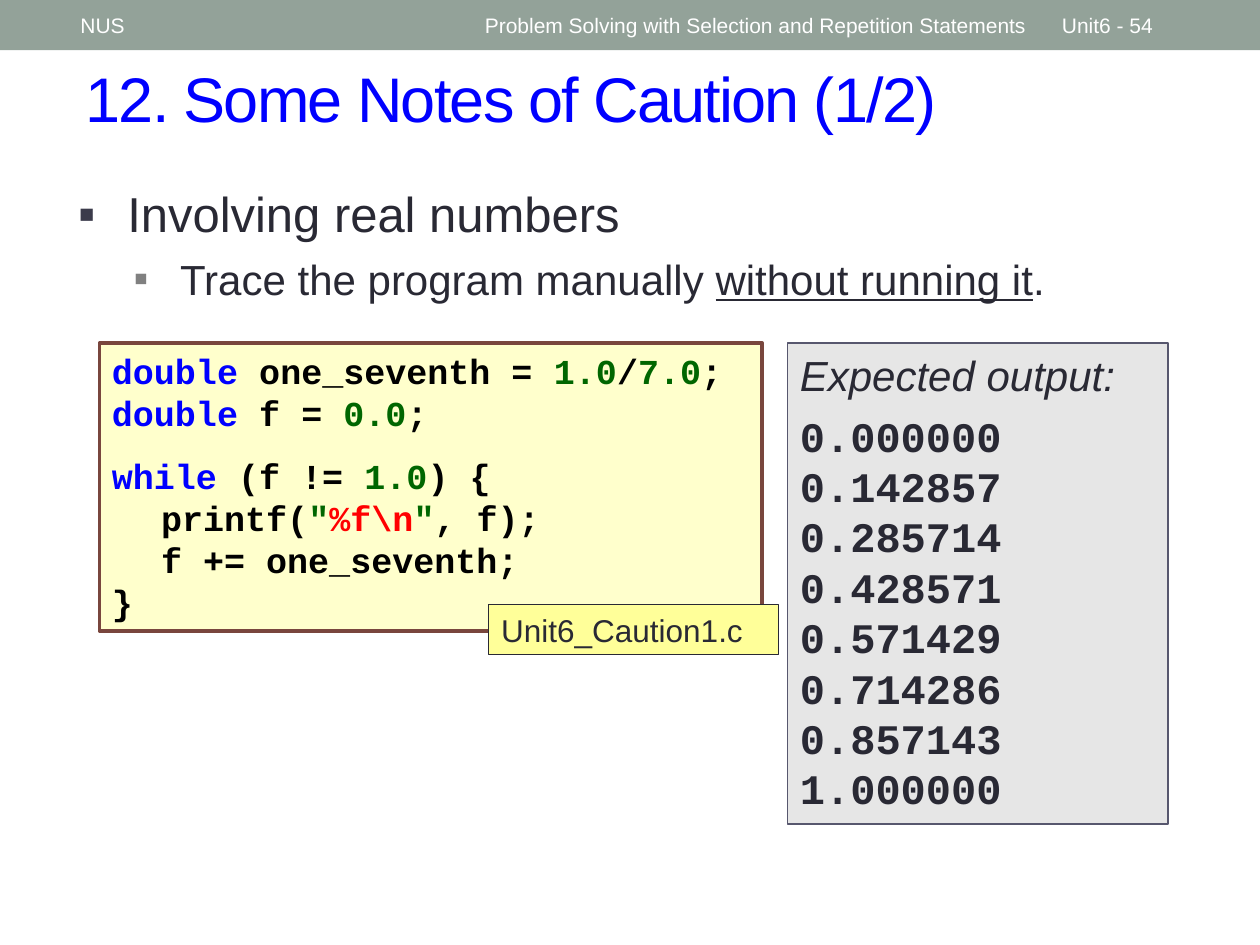
"""Build the slide on caution with real numbers in loops."""
from typing import NamedTuple, Optional

from lxml import etree
from pptx import Presentation
from pptx.dml.color import RGBColor
from pptx.enum.shapes import MSO_SHAPE
from pptx.enum.text import MSO_ANCHOR, MSO_AUTO_SIZE, PP_ALIGN
from pptx.oxml.ns import qn
from pptx.util import Inches, Pt

RECTANGLE = MSO_SHAPE.RECTANGLE
TOP, MIDDLE = MSO_ANCHOR.TOP, MSO_ANCHOR.MIDDLE
LEFT = PP_ALIGN.LEFT
FIXED_SIZE = MSO_AUTO_SIZE.NONE

WIDTH, HEIGHT = Inches(10), Inches(7.5)
SANS, MONO = "Arial", "Courier New"
TAB_STOPS = (0.39, 0.79, 1.18)

WHITE = RGBColor(0xFF, 0xFF, 0xFF)
BLACK = RGBColor(0x00, 0x00, 0x00)
BLUE = RGBColor(0x00, 0x00, 0xFF)
GREEN = RGBColor(0x00, 0x66, 0x00)
RED = RGBColor(0xFF, 0x00, 0x00)
INK = RGBColor(0x29, 0x29, 0x34)
BAND = RGBColor(0x93, 0xA2, 0x99)
CODE_FILL = RGBColor(0xFF, 0xFF, 0xCC)
CODE_BORDER = RGBColor(0x79, 0x46, 0x3D)
FILE_FILL = RGBColor(0xFF, 0xFF, 0x99)
OUTPUT_FILL = RGBColor(0xE6, 0xE6, 0xE6)
OUTPUT_BORDER = RGBColor(0x57, 0x57, 0x6E)
BULLET = RGBColor(0x3B, 0x3B, 0x4B)
SUB_BULLET = RGBColor(0x80, 0x80, 0x80)


class Area(NamedTuple):
    """A rectangle in shares of the slide's width and height."""
    left: float
    top: float
    width: float
    height: float

    def lengths(self) -> tuple:
        """Return left, top, width and height as slide lengths."""
        return tuple(int(share * side) for share, side in zip(self, (WIDTH, HEIGHT) * 2))


class Style(NamedTuple):
    """The look of a run of text."""
    size: float
    color: RGBColor = INK
    font: str = SANS
    bold: bool = False
    italic: bool = False
    underline: bool = False


class Line(NamedTuple):
    """A paragraph: pairs of text and style, with spacing in points."""
    runs: list
    before: float = 0
    after: float = 0
    tabs: tuple = ()


class Bullet(NamedTuple):
    """A list level: left margin and hanging indent in inches, bullet colour."""
    level: int
    margin: float
    hanging: float
    color: RGBColor


class Panel(NamedTuple):
    """A filled rectangle with an optional border and text."""
    area: Area
    fill: RGBColor
    border: Optional[RGBColor] = None
    border_width: float = 0.75
    lines: tuple = ()


PLAIN = Style(20, BLACK, MONO, bold=True)
KEYWORD = PLAIN._replace(color=BLUE)
NUMBER = PLAIN._replace(color=GREEN)
FORMAT = PLAIN._replace(color=RED)
HEADER = Style(12, WHITE)
SUB_ITEM = Style(24)
OUTPUT = Style(24, font=MONO, bold=True)

CODE = [
    Line([("double ", KEYWORD), ("one_seventh = ", PLAIN), ("1.0", NUMBER),
          ("/", PLAIN), ("7.0", NUMBER), (";", PLAIN)]),
    Line([("double ", KEYWORD), ("f = ", PLAIN), ("0.0", NUMBER), (";", PLAIN)]),
    Line([("while ", KEYWORD), ("(f != ", PLAIN), ("1.0", NUMBER), (") {", PLAIN)], before=12),
    Line([("\tprintf(", PLAIN), ('"', NUMBER), ("%f\\n", FORMAT), ('"', NUMBER),
          (", f);", PLAIN)], tabs=TAB_STOPS),
    Line([("\tf += one_seventh;", PLAIN)], tabs=TAB_STOPS),
    Line([("}", PLAIN)]),
]
RESULTS = [Line([("Expected output:", Style(24, italic=True))], after=6)] + [
    Line([(f"{step / 7:.6f}", OUTPUT)]) for step in range(8)]

PANELS = [
    Panel(Area(0.079, 0.363, 0.526, 0.305), CODE_FILL, CODE_BORDER, 2.08, CODE),
    Panel(Area(0.388, 0.64, 0.23, 0.053), FILE_FILL, INK,
          lines=[Line([("Unit6_Caution1.c", Style(18))])]),
    Panel(Area(0.625, 0.363, 0.302, 0.509), OUTPUT_FILL, OUTPUT_BORDER, lines=RESULTS),
]
HEADERS = [
    ("NUS", 0.054, 0.313),
    ("Problem Solving with Selection and Repetition Statements", 0.375, 0.45),
    ("Unit6 - 54", 0.833, 0.117),
]
ITEMS = [
    (Line([("Involving real numbers", Style(28))]), Bullet(0, 0.39, 0.39, BULLET)),
    (Line([("Trace the program manually ", SUB_ITEM),
           ("without running it", SUB_ITEM._replace(underline=True)),
           (".", SUB_ITEM)], before=6), Bullet(1, 0.81, 0.37, SUB_BULLET)),
]


def add_bullet(paragraph, bullet: Bullet) -> None:
    """Give a paragraph its level, hanging indent and square bullet."""
    paragraph.level = bullet.level
    properties = paragraph._p.get_or_add_pPr()
    properties.set("marL", str(Inches(bullet.margin)))
    properties.set("indent", str(-Inches(bullet.hanging)))
    color = etree.SubElement(properties, qn("a:buClr"))
    etree.SubElement(color, qn("a:srgbClr"), val=str(bullet.color))
    etree.SubElement(properties, qn("a:buFont"), typeface=SANS)
    etree.SubElement(properties, qn("a:buChar"), char="▪")


def write_lines(shape, lines: list, anchor=TOP, bullets: tuple = ()) -> None:
    """Fill a shape with formatted paragraphs."""
    frame = shape.text_frame
    frame.word_wrap = True
    frame.auto_size = FIXED_SIZE
    frame.vertical_anchor = anchor
    for index, line in enumerate(lines):
        paragraph = frame.add_paragraph() if index else frame.paragraphs[0]
        if bullets:
            add_bullet(paragraph, bullets[index])
        if line.tabs:
            tab_list = etree.SubElement(paragraph._p.get_or_add_pPr(), qn("a:tabLst"))
            for stop in line.tabs:
                etree.SubElement(tab_list, qn("a:tab"), pos=str(Inches(stop)), algn="l")
        paragraph.alignment = LEFT
        paragraph.space_before = Pt(line.before)
        paragraph.space_after = Pt(line.after)
        for text, style in line.runs:
            run = paragraph.add_run()
            run.text = text
            run.font.name = style.font
            run.font.size = Pt(style.size)
            run.font.bold = style.bold
            run.font.italic = style.italic
            run.font.underline = style.underline
            run.font.color.rgb = style.color


def place(shape, area: Area) -> None:
    """Move and size a shape."""
    shape.left, shape.top, shape.width, shape.height = area.lengths()


def add_panel(slide, panel: Panel) -> None:
    """Draw a filled rectangle with its text."""
    shape = slide.shapes.add_shape(RECTANGLE, *panel.area.lengths())
    shape.shadow.inherit = False
    shape.fill.solid()
    shape.fill.fore_color.rgb = panel.fill
    if panel.border is None:
        shape.line.fill.background()
    else:
        shape.line.color.rgb = panel.border
        shape.line.width = Pt(panel.border_width)
    if panel.lines:
        write_lines(shape, panel.lines)


def main() -> None:
    """Build and save the slide."""
    presentation = Presentation()
    presentation.slide_width, presentation.slide_height = WIDTH, HEIGHT
    slide = presentation.slides.add_slide(presentation.slide_layouts[1])

    add_panel(slide, Panel(Area(0, 0, 1, 0.053), BAND))
    for text, left, width in HEADERS:
        box = slide.shapes.add_textbox(*Area(left, 0.003, width, 0.048).lengths())
        write_lines(box, [Line([(text, HEADER)])], MIDDLE)

    title, body = slide.placeholders
    place(title, Area(0.058, 0.056, 0.917, 0.123))
    write_lines(title, [Line([("12. Some Notes of Caution (1/2)", Style(36, BLUE))])])
    title.text_frame.paragraphs[0].runs[0].font._element.set("spc", "-100")
    place(body, Area(0.052, 0.188, 0.869, 0.175))
    lines, bullets = zip(*ITEMS)
    write_lines(body, lines, bullets=bullets)

    for panel in PANELS:
        add_panel(slide, panel)
    presentation.save("out.pptx")


if __name__ == "__main__":
    main()
